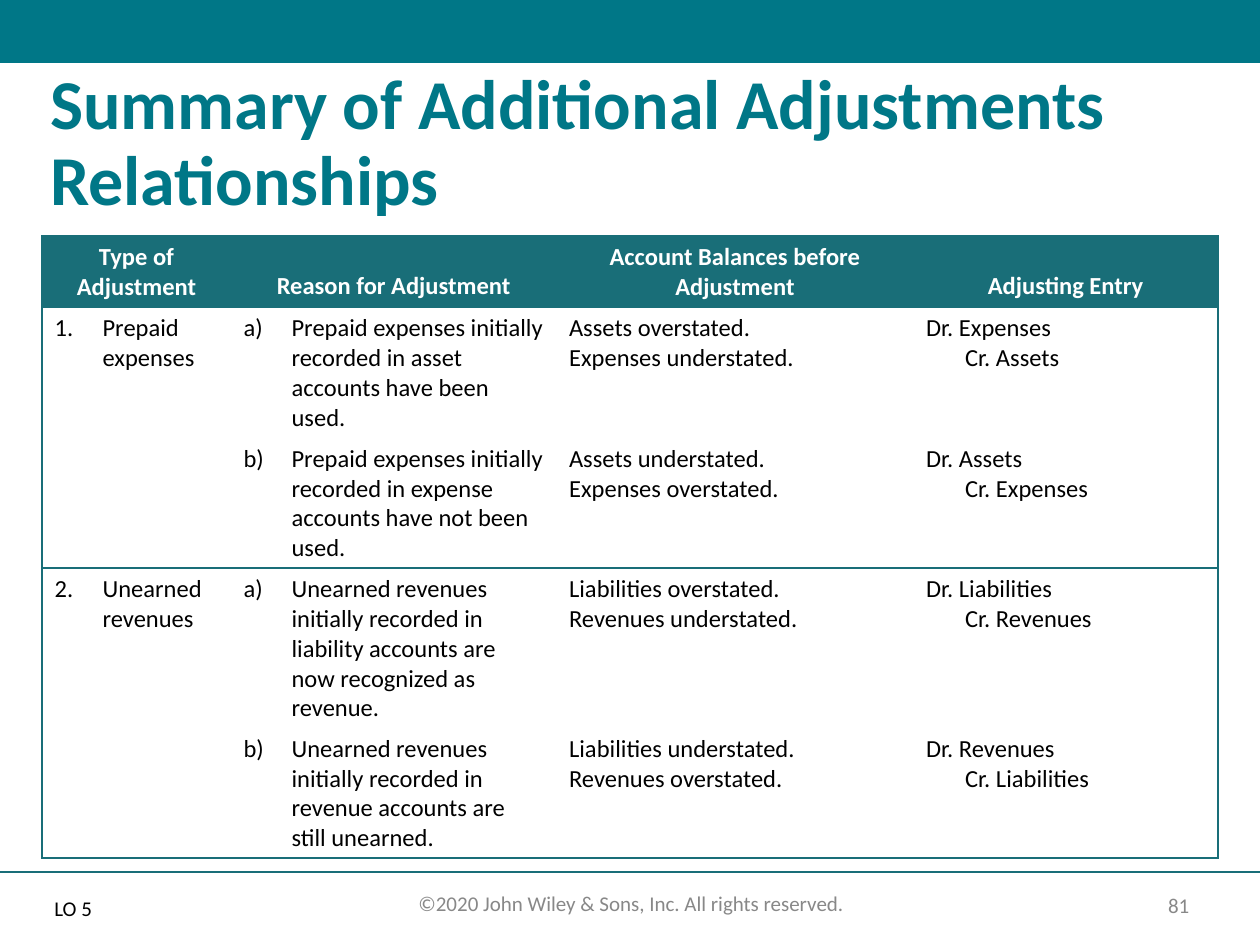
from lxml import etree
from pptx import Presentation
from pptx.dml.color import RGBColor
from pptx.enum.shapes import MSO_CONNECTOR, MSO_SHAPE
from pptx.enum.text import MSO_ANCHOR, PP_ALIGN
from pptx.oxml.ns import qn
from pptx.util import Pt

CENTER = PP_ALIGN.CENTER
TOP, MIDDLE, BOTTOM = MSO_ANCHOR.TOP, MSO_ANCHOR.MIDDLE, MSO_ANCHOR.BOTTOM
RECTANGLE = MSO_SHAPE.RECTANGLE
STRAIGHT = MSO_CONNECTOR.STRAIGHT

BRAND, RULE, GREY, BLACK, WHITE = "007787", "196E78", "888888", "000000", "FFFFFF"
HANGING, ENTRY_INDENT = 27.4, 22.3
COLUMN_WIDTHS = (108, 186, 204, 174)
HEADERS = ("Type of Adjustment", "Reason for Adjustment",
           "Account Balances before Adjustment", "Adjusting Entry")
ADJUSTMENTS = (
    ("Prepaid expenses", (
        ("Prepaid expenses initially recorded in asset accounts have been used.",
         ("Assets overstated.", "Expenses understated."), ("Expenses", "Assets")),
        ("Prepaid expenses initially recorded in expense accounts have not been used.",
         ("Assets understated.", "Expenses overstated."), ("Assets", "Expenses")))),
    ("Unearned revenues", (
        ("Unearned revenues initially recorded in liability accounts are now "
         "recognized as revenue.",
         ("Liabilities overstated.", "Revenues understated."), ("Liabilities", "Revenues")),
        ("Unearned revenues initially recorded in revenue accounts are still unearned.",
         ("Liabilities understated.", "Revenues overstated."), ("Revenues", "Liabilities")))),
)


def color(value):
    return RGBColor.from_string(value)


def write(para, text, size=14, ink=BLACK, bold=False, align=None, spacing=None,
          numbering=None, start=1, indent=0):
    if align is not None:
        para.alignment = align
    if spacing:
        para.line_spacing = spacing
    properties = para._p.get_or_add_pPr()
    if indent:
        properties.set("indent", str(Pt(indent)))
    if numbering:
        properties.set("marL", str(Pt(HANGING)))
        properties.set("indent", str(-Pt(HANGING)))
        shade = etree.SubElement(properties, qn("a:buClr"))
        etree.SubElement(shade, qn("a:srgbClr"), val=ink)
        number = etree.SubElement(properties, qn("a:buAutoNum"), type=numbering)
        if start > 1:
            number.set("startAt", str(start))
    span = para.add_run()
    span.text = text
    span.font.name = "Calibri"
    span.font.size = Pt(size)
    span.font.bold = bold
    span.font.color.rgb = color(ink)


class SlideBuilder:
    """Draws styled elements on the current slide."""

    def __init__(self, page, rule=RULE, border=0.75):
        self.page = page
        self.rule = rule
        self.border = border

    def bar(self, left, top, width, height, fill):
        shape = self.page.shapes.add_shape(RECTANGLE, Pt(left), Pt(top), Pt(width), Pt(height))
        shape.shadow.inherit = False
        shape.fill.solid()
        shape.fill.fore_color.rgb = color(fill)
        shape.line.fill.background()

    def line(self, x1, y1, x2, y2):
        connector = self.page.shapes.add_connector(STRAIGHT, Pt(x1), Pt(y1), Pt(x2), Pt(y2))
        connector.line.color.rgb = color(self.rule)
        connector.line.width = Pt(1)
        etree.SubElement(connector._element.spPr, qn("a:effectLst"))

    def text(self, left, top, width, height, text, anchor=TOP, **style):
        box = self.page.shapes.add_textbox(Pt(left), Pt(top), Pt(width), Pt(height))
        frame = box.text_frame
        frame.word_wrap = True
        frame.vertical_anchor = anchor
        write(frame.paragraphs[0], text, **style)

    def table(self, left, top, widths, row_height, row_count):
        frame = self.page.shapes.add_table(row_count, len(widths), Pt(left), Pt(top),
                                           Pt(sum(widths)), Pt(row_height * row_count))
        for column, width in zip(frame.table.columns, widths):
            column.width = Pt(width)
        return frame.table

    def cell(self, cell, lines=(), edges="", fill=None, anchor=TOP):
        cell.vertical_anchor = anchor
        properties = cell._tc.get_or_add_tcPr()
        for side in "LRTB":
            edge = etree.SubElement(properties, qn(f"a:ln{side}"), w=str(Pt(self.border)))
            if side in edges:
                solid = etree.SubElement(edge, qn("a:solidFill"))
                etree.SubElement(solid, qn("a:srgbClr"), val=self.rule)
            else:
                etree.SubElement(edge, qn("a:noFill"))
        if fill:
            cell.fill.solid()
            cell.fill.fore_color.rgb = color(fill)
        else:
            cell.fill.background()
        frame = cell.text_frame
        for index, (text, style) in enumerate(lines):
            para = frame.add_paragraph() if index else frame.paragraphs[0]
            write(para, text, **style)


def add_summary(builder):
    table = builder.table(24, 134.8, COLUMN_WIDTHS, 29.5, 5)
    sides = ("L", "", "", "R")
    heading = {"ink": WHITE, "bold": True, "align": CENTER}
    for column, text in enumerate(HEADERS):
        builder.cell(table.cell(0, column), [(text, heading)], sides[column] + "TB", RULE, BOTTOM)
    for group, (kind, cases) in enumerate(ADJUSTMENTS):
        first = 1 + 2 * group
        table.cell(first, 0).merge(table.cell(first + 1, 0))
        kind_line = (kind, {"numbering": "arabicPeriod", "start": group + 1})
        for case, (reason, balances, (debit, credit)) in enumerate(cases):
            contents = (
                [] if case else [kind_line],
                [(reason, {"numbering": "alphaLcParenR", "start": case + 1})],
                [(balance, {}) for balance in balances],
                [(f"Dr. {debit}", {}), (f"Cr. {credit}", {"indent": ENTRY_INDENT})],
            )
            for column, lines in enumerate(contents):
                edge = "TB" if column == 0 else "TB"[case]
                builder.cell(table.cell(first + case, column), lines, sides[column] + edge)


def main():
    deck = Presentation()
    deck.slide_width, deck.slide_height = Pt(720), Pt(540)
    builder = SlideBuilder(deck.slides.add_slide(deck.slide_layouts[6]))
    builder.bar(0, 0, 720, 36, BRAND)
    builder.line(0, 498.2, 720, 498.2)
    footer = {"size": 12, "ink": GREY, "align": CENTER}
    builder.text(204.5, 505.4, 312.5, 21.6,
                 "©2020 John Wiley & Sons, Inc. All rights reserved.", **footer)
    builder.text(651.6, 506.9, 43.9, 20.2, "81", anchor=MIDDLE, **footer)
    builder.text(21.6, 36, 673.9, 91.4, "Summary of Additional Adjustments Relationships",
                 size=40, ink=BRAND, bold=True, spacing=0.9)
    add_summary(builder)
    builder.text(24, 509.8, 48, 23.8, "LO 5", size=12, spacing=0.9)
    deck.save("out.pptx")


if __name__ == "__main__":
    main()
